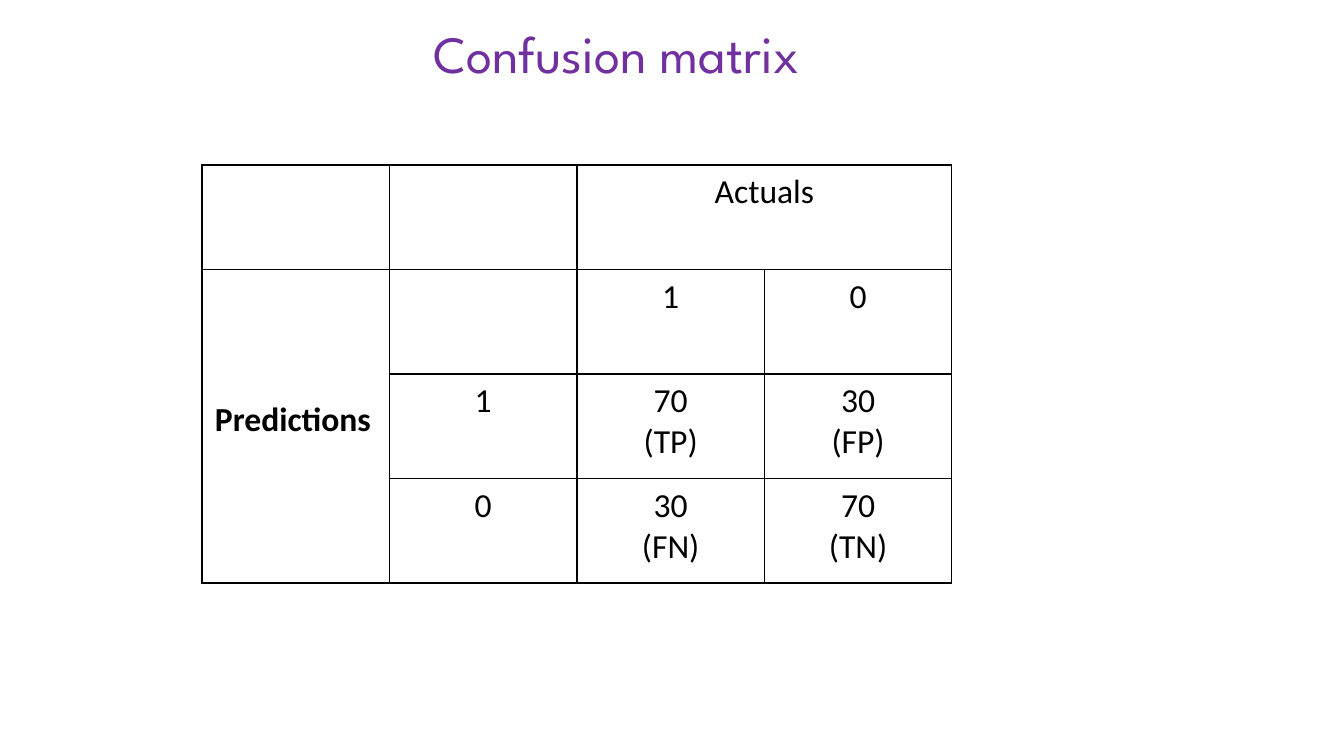
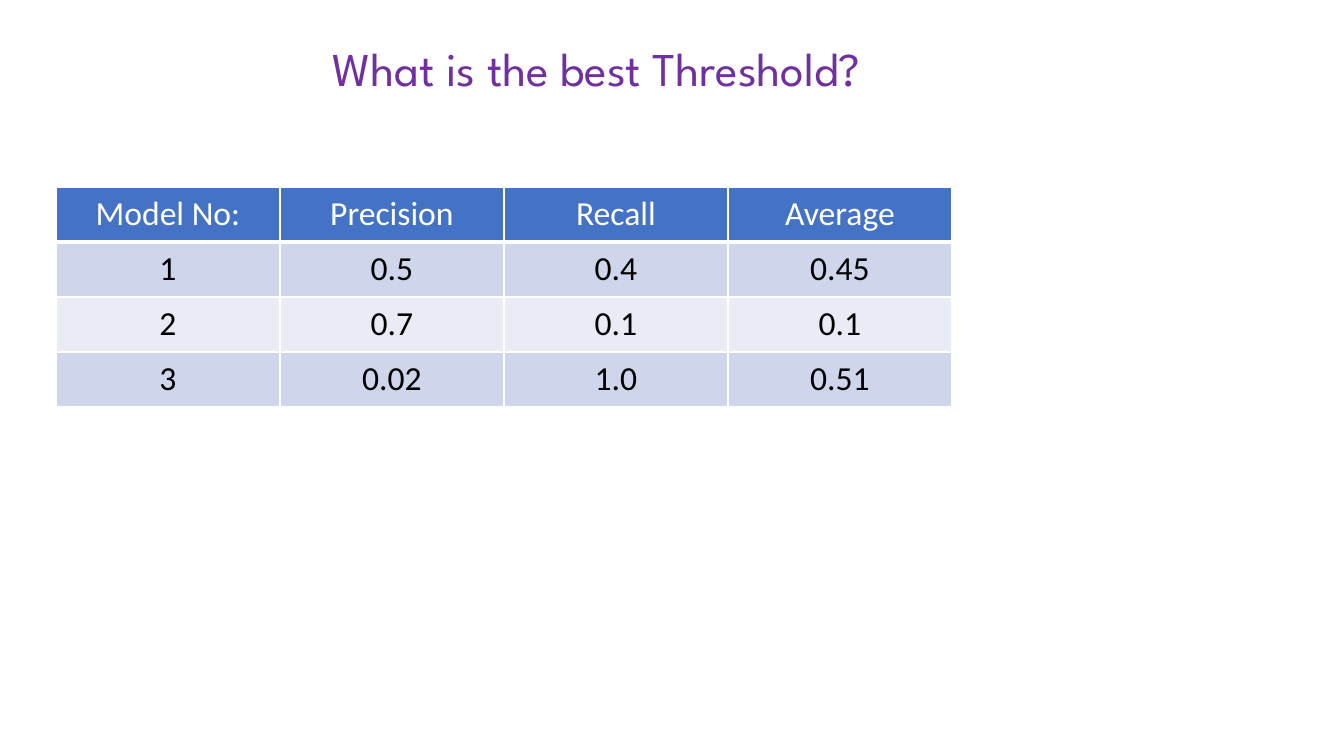
from lxml import etree
from pptx import Presentation
from pptx.dml.color import RGBColor
from pptx.enum.text import MSO_ANCHOR, MSO_AUTO_SIZE, PP_ALIGN
from pptx.oxml.ns import qn
from pptx.util import Pt

CENTER, LEFT = PP_ALIGN.CENTER, PP_ALIGN.LEFT
MIDDLE, NO_FIT = MSO_ANCHOR.MIDDLE, MSO_AUTO_SIZE.NONE
SCALE = 914400 / 100.8
SIZE = (1344, 756)
TITLE_FONT, BODY_FONT = "League Spartan", "Calibri"
BODY_SIZE = 24
PAD_X, PAD_Y = 13, 7
COLORS = {
    "title": "7030A0", "black": "000000", "white": "FFFFFF",
    "head": "4472C4", "odd": "CFD5EA", "even": "E9EBF5",
}

MATRIX = {
    "title": "Confusion matrix",
    "box": (359, 19, 515, 68), "size": 37.3, "align": CENTER, "lines": 1.0,
    "grid": (202, 165, 750, 418),
    "rows": [
        ["", "", "Actuals", ""],
        ["Predictions", "", "1", "0"],
        ["", "1", "70\n(TP)", "30\n(FP)"],
        ["", "0", "30\n(FN)", "70\n(TN)"],
    ],
    "fills": ["white"], "inks": ["black"], "edge": "black", "rule": 1,
    "spans": [((0, 2), (0, 3)), ((1, 0), (3, 0))],
    "side": (1, 0),
}
MODELS = {
    "title": "What is the best Threshold?",
    "box": (322, 31, 700, 81), "size": 33.6, "align": LEFT, "lines": 0.9,
    "grid": (56, 187, 896, 218),
    "rows": [
        ["Model No:", "Precision", "Recall", "Average"],
        ["1", "0.5", "0.4", "0.45"],
        ["2", "0.7", "0.1", "0.1"],
        ["3", "0.02", "1.0", "0.51"],
    ],
    "fills": ["head", "odd", "even", "odd"],
    "inks": ["white", "black", "black", "black"],
    "edge": "white", "rule": 3,
    "spans": [], "side": None,
}


def px(n):
    return round(n * SCALE)


def rgb(name):
    return RGBColor.from_string(COLORS[name])


def style(para, font, size, color, align, bold=False):
    para.alignment = align
    para.font.name = font
    para.font.size = Pt(size)
    para.font.bold = bold
    para.font.color.rgb = rgb(color)


def add_title(slide, data):
    title = slide.shapes.title
    title.left, title.top, title.width, title.height = map(px, data["box"])
    frame = title.text_frame
    frame.text = data["title"]
    frame.auto_size = NO_FIT
    frame.vertical_anchor = MIDDLE
    para = frame.paragraphs[0]
    style(para, TITLE_FONT, data["size"], "title", data["align"])
    para.line_spacing = data["lines"]


def add_edges(cell, color, rule):
    props = cell._tc.get_or_add_tcPr()
    for side, width in (("L", 1), ("R", 1), ("T", 1), ("B", rule)):
        line = etree.SubElement(props, qn("a:ln" + side), w=str(Pt(width)))
        fill = etree.SubElement(line, qn("a:solidFill"))
        etree.SubElement(fill, qn("a:srgbClr"), val=COLORS[color])


def add_grid(slide, data):
    rows = data["rows"]
    count, wide = len(rows), len(rows[0])
    left, top, width, height = map(px, data["grid"])
    table = slide.shapes.add_table(count, wide, left, top, width, height).table
    table.first_row = table.horz_banding = False
    for row in table.rows:
        row.height = height // count
    for col in table.columns:
        col.width = width // wide

    for r, row in enumerate(rows):
        fill = data["fills"][r % len(data["fills"])]
        ink = data["inks"][r % len(data["inks"])]
        for c, text in enumerate(row):
            cell = table.cell(r, c)
            cell.text = text
            cell.margin_left = cell.margin_right = px(PAD_X)
            cell.margin_top = cell.margin_bottom = px(PAD_Y)
            side = (r, c) == data["side"]
            if side:
                cell.vertical_anchor = MIDDLE
                cell.margin_bottom = px(PAD_Y + 12)
            add_edges(cell, data["edge"], data["rule"] if r == 0 else 1)
            cell.fill.solid()
            cell.fill.fore_color.rgb = rgb(fill)
            for para in cell.text_frame.paragraphs:
                style(para, BODY_FONT, BODY_SIZE, ink, LEFT if side else CENTER, side)

    for first, last in data["spans"]:
        table.cell(*first).merge(table.cell(*last))


def main():
    deck = Presentation()
    deck.slide_width, deck.slide_height = map(px, SIZE)
    for data in (MATRIX, MODELS):
        slide = deck.slides.add_slide(deck.slide_layouts[5])
        add_title(slide, data)
        add_grid(slide, data)
    deck.save("out.pptx")


if __name__ == "__main__":
    main()
